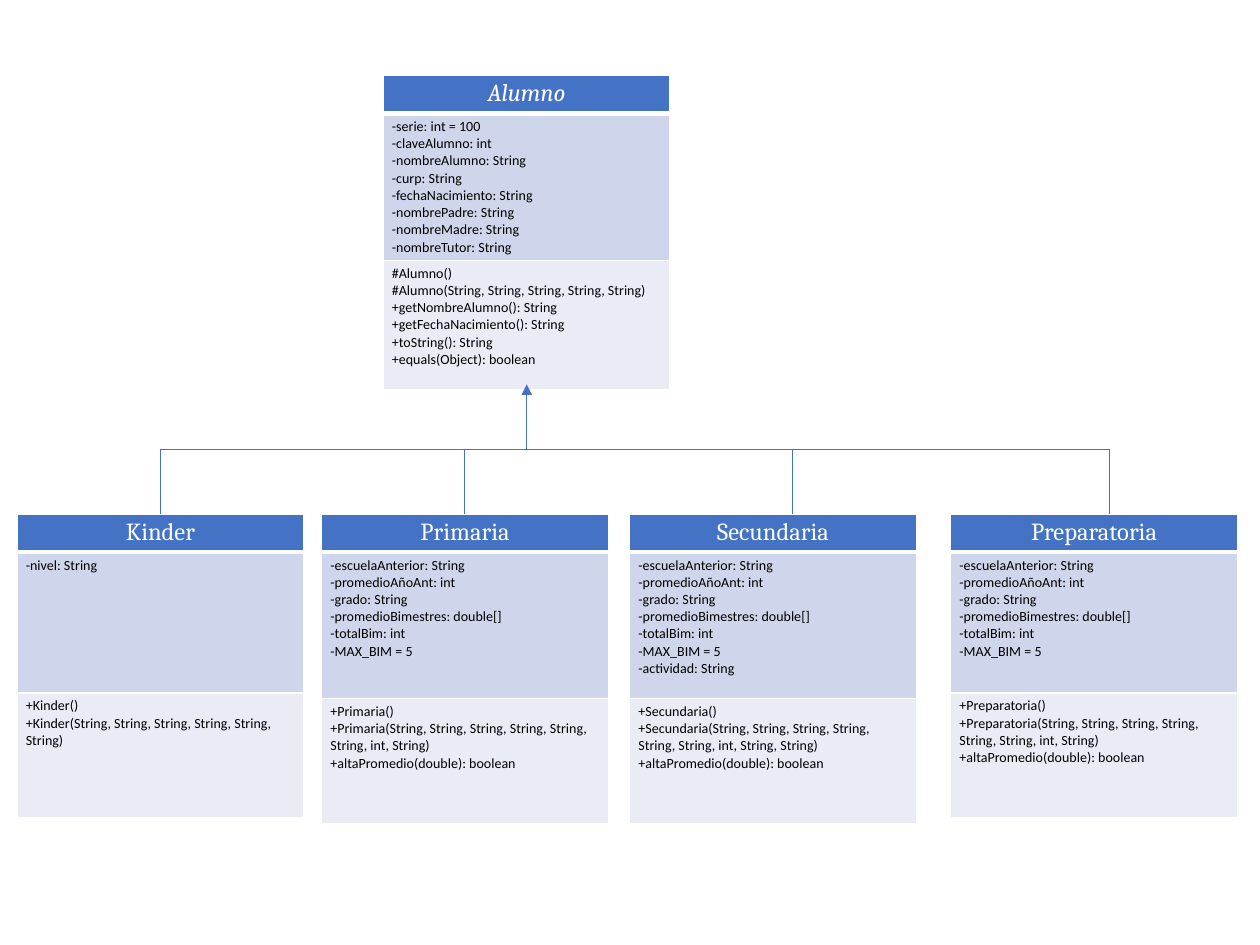
"""Build a UML class diagram of a student hierarchy."""
from dataclasses import dataclass
from typing import Optional

from lxml import etree
from pptx import Presentation
from pptx.dml.color import RGBColor
from pptx.enum import shapes, text
from pptx.oxml import ns
from pptx.util import Cm, Pt

BLUE = RGBColor(0x44, 0x72, 0xC4)
LAVENDER = RGBColor(0xCF, 0xD5, 0xEA)
PALE = RGBColor(0xE9, 0xEB, 0xF5)
WHITE = RGBColor(0xFF, 0xFF, 0xFF)
BLACK = RGBColor(0, 0, 0)

CLASS_WIDTH = 5.79
HEADER_HEIGHT = 0.77
PARENT_TOP = 1.52
CHILD_TOP = 10.36
TRUNK_X = 10.62
TRUNK_TOP = 7.75
BUS_Y = 9.06


@dataclass(frozen=True)
class UmlClass:
    """A class box, with lengths in centimetres."""
    name: str
    left: float
    top: float
    heights: tuple[float, float]
    attributes: tuple[str, ...]
    methods: tuple[str, ...]
    abstract: bool = False
    branch_x: Optional[float] = None


SCHOOL_ATTRIBUTES = (
    "-escuelaAnterior: String", "-promedioAñoAnt: int", "-grado: String",
    "-promedioBimestres: double[]", "-totalBim: int", "-MAX_BIM = 5",
)
AVERAGE_METHOD = "+altaPromedio(double): boolean"

ALUMNO = UmlClass(
    "Alumno", 7.72, PARENT_TOP, (2.96, 2.6),
    ("-serie: int = 100", "-claveAlumno: int", "-nombreAlumno: String",
     "-curp: String", "-fechaNacimiento: String", "-nombrePadre: String",
     "-nombreMadre: String", "-nombreTutor: String"),
    ("#Alumno()", "#Alumno(String, String, String, String, String)",
     "+getNombreAlumno(): String", "+getFechaNacimiento(): String",
     "+toString(): String", "+equals(Object): boolean"),
    abstract=True)

LEVELS = (
    UmlClass("Kinder", 0.34, CHILD_TOP, (2.84, 2.52), ("-nivel: String",),
             ("+Kinder()",
              "+Kinder(String, String, String, String, String, String)"),
             branch_x=3.23),
    UmlClass("Primaria", 6.48, CHILD_TOP, (2.95, 2.52), SCHOOL_ATTRIBUTES,
             ("+Primaria()",
              "+Primaria(String, String, String, String, String, String, int, String)",
              AVERAGE_METHOD),
             branch_x=9.37),
    UmlClass("Secundaria", 12.69, CHILD_TOP, (2.95, 2.52),
             SCHOOL_ATTRIBUTES + ("-actividad: String",),
             ("+Secundaria()",
              "+Secundaria(String, String, String, String, String, String, int, String, String)",
              AVERAGE_METHOD),
             branch_x=15.98),
    UmlClass("Preparatoria", 19.16, CHILD_TOP, (2.84, 2.52), SCHOOL_ATTRIBUTES,
             ("+Preparatoria()",
              "+Preparatoria(String, String, String, String, String, String, int, String)",
              AVERAGE_METHOD),
             branch_x=22.36),
)


def write(frame, lines: tuple[str, ...], *, font: str = "Calibri", size: float = 8,
          color: RGBColor = BLACK, italic: bool = False,
          align: text.PP_ALIGN = text.PP_ALIGN.LEFT) -> None:
    """Fill a text frame with one paragraph per line."""
    for index, line in enumerate(lines):
        paragraph = frame.add_paragraph() if index else frame.paragraphs[0]
        paragraph.alignment = align
        run = paragraph.add_run()
        run.text = line
        run.font.name = font
        run.font.size = Pt(size)
        run.font.color.rgb = color
        run.font.italic = italic


def set_borders(cell, top: float, bottom: float) -> None:
    """Give a cell white borders of the stated point widths."""
    properties = cell._tc.get_or_add_tcPr()
    for side, width in (("L", 1), ("R", 1), ("T", top), ("B", bottom)):
        line = etree.SubElement(properties, ns.qn(f"a:ln{side}"), w=str(Pt(width)))
        fill = etree.SubElement(line, ns.qn("a:solidFill"))
        etree.SubElement(fill, ns.qn("a:srgbClr"), val=str(WHITE))


def draw_class(slide, uml: UmlClass) -> None:
    """Draw a class as a table of name, attributes and methods."""
    heights = (HEADER_HEIGHT, *uml.heights)
    table = slide.shapes.add_table(
        3, 1, Cm(uml.left), Cm(uml.top), Cm(CLASS_WIDTH), Cm(sum(heights))).table
    table.first_row = table.horz_banding = False
    header = dict(font="Cambria", size=14, color=WHITE, italic=uml.abstract,
                  align=text.PP_ALIGN.CENTER)
    sections = (
        ((uml.name,), BLUE, 1, 3, header),
        (uml.attributes, LAVENDER, 3, 1, {}),
        (uml.methods, PALE, 1, 1, {}),
    )
    for row, height, section in zip(table.rows, heights, sections):
        lines, fill, top, bottom, style = section
        row.height = Cm(height)
        cell = row.cells[0]
        cell.margin_left = cell.margin_right = Cm(0.18)
        cell.margin_top = cell.margin_bottom = Cm(0.09)
        set_borders(cell, top, bottom)
        cell.fill.solid()
        cell.fill.fore_color.rgb = fill
        write(cell.text_frame, lines, **style)


def draw_line(slide, start: tuple[float, float], end: tuple[float, float],
              arrow: bool = False) -> None:
    """Draw a thin blue line, with an arrowhead at its end if asked."""
    connector = slide.shapes.add_connector(
        shapes.MSO_CONNECTOR.STRAIGHT, *map(Cm, start + end))
    connector.line.color.rgb = BLUE
    connector.line.width = Pt(0.5)
    properties = connector._element.spPr
    if arrow:
        etree.SubElement(properties.find(ns.qn("a:ln")), ns.qn("a:tailEnd"),
                         type="triangle")
    etree.SubElement(properties, ns.qn("a:effectLst"))


def main() -> None:
    """Build and save the slide."""
    deck = Presentation()
    deck.slide_width, deck.slide_height = Cm(25.4), Cm(19.05)
    slide = deck.slides.add_slide(deck.slide_layouts[6])
    for uml in (ALUMNO, *LEVELS):
        draw_class(slide, uml)
    draw_line(slide, (LEVELS[0].branch_x, BUS_Y), (LEVELS[-1].branch_x, BUS_Y))
    for level in LEVELS:
        draw_line(slide, (level.branch_x, BUS_Y), (level.branch_x, CHILD_TOP))
    draw_line(slide, (TRUNK_X, BUS_Y), (TRUNK_X, TRUNK_TOP), arrow=True)
    deck.save("out.pptx")


main()
